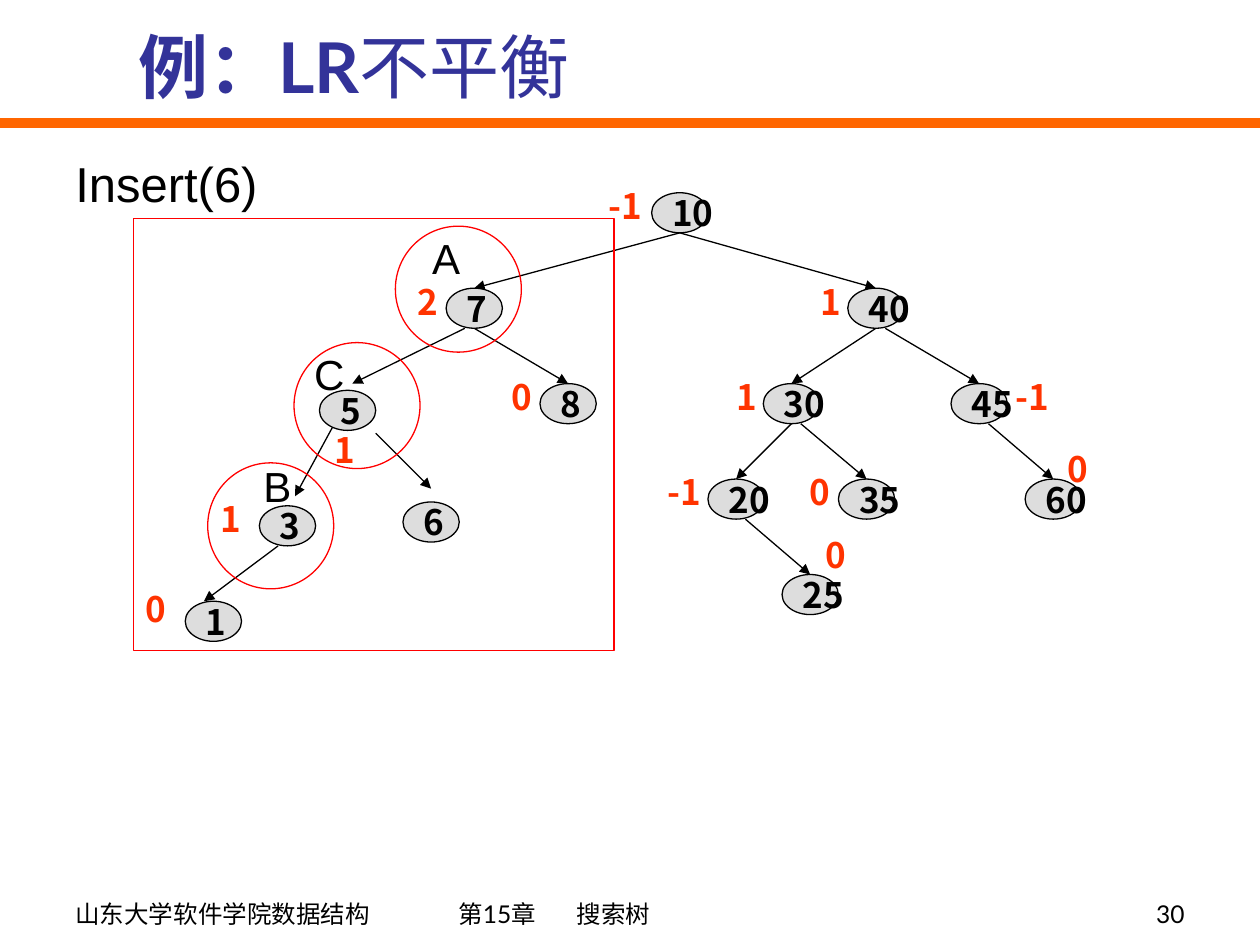
from collections import namedtuple

from lxml.etree import SubElement
from pptx import Presentation
from pptx.dml.color import RGBColor as RGB
from pptx.enum.shapes import MSO_CONNECTOR as Conn, MSO_SHAPE as Shp
from pptx.enum.text import MSO_ANCHOR as Anc, MSO_AUTO_SIZE as Fit, PP_ALIGN as Al
from pptx.oxml.ns import qn
from pptx.util import Inches, Pt

THEME = {
    "ink": "000000", "title": "333399", "bar": "FF6600", "node": "DDDDDD",
    "mark": "FF0000", "balance": "FF3300", "hair": 0.75, "bar_width": 6,
    "cjk": "Noto Sans CJK KR",
    "heading": ("Lato", 40, True, "title"),
    "heading_light": ("Lato", 40, False, "title"),
    "footer": ("Lato", 14, False, "ink"),
    "operation": ("Arial", 28, False, "ink"),
    "letter": ("Arial", 24, False, "ink"),
    "key": ("Noto Sans CJK KR", 20, True, "ink"),
    "factor": ("Noto Sans CJK KR", 20, True, "balance"),
}

Box = namedtuple("Box", "x y w h")
COLS, ROWS = 96, 5

NODES = {
    "10": (49.7, 0), "7": (27.8, 1), "40": (70.6, 1), "5": (14.3, 2.07),
    "8": (37.8, 2), "30": (61.6, 2), "45": (81.6, 2), "3": (7.9, 3.28),
    "6": (23.2, 3.24), "20": (55.7, 3), "35": (69.6, 3), "60": (89.5, 3),
    "1": (0, 4.28), "25": (63.6, 4),
}
FACTORS = {
    "10": ("-1", -5.9, -0.15), "7": ("2", -4.4, -0.15), "40": ("1", -4.2, -0.15),
    "5": ("1", 0.3, 0.34), "8": ("0", -4.4, -0.15), "30": ("1", -4.2, -0.15),
    "45": ("-1", 5.6, -0.15), "3": ("1", -5.5, -0.15), "20": ("-1", -5.6, -0.16),
    "35": ("0", -4.4, -0.16), "60": ("0", 3.2, -0.4), "1": ("0", -5.5, -0.21),
    "25": ("0", 3.3, -0.49),
}
HERE = (0, 0)
EDGES = [
    ("10", "7", HERE, HERE), ("10", "40", HERE, HERE),
    ("7", "5", (-1, 0), (0.5, -0.07)), ("7", "8", HERE, HERE),
    ("40", "30", HERE, HERE), ("40", "45", (1, 0), HERE),
    ("5", "3", (-1.4, -0.07), (0.8, -0.1)), ("5", "6", (3, 0.03), (0, -0.14)),
    ("30", "20", HERE, HERE), ("30", "35", (1, 0), HERE),
    ("45", "60", (1, 0), HERE), ("20", "25", (1, 0), HERE),
    ("3", "1", (-1, 0), (-1, 0)),
]
RINGS = [
    ("A", "7", (-5.4, -0.65), (-2.8, -0.65)),
    ("C", "5", (-2.7, -0.5), (-1.9, -0.5)),
    ("B", "3", (-5.5, -0.45), (-0.9, -0.54)),
]


def color(key):
    return RGB.from_string(THEME[key])


def apply(obj, values):
    for name, value in values.items():
        setattr(obj, name, value)


def place(box):
    return [Inches(v) for v in box]


def write(sp, parts, frame, align=Al.LEFT, tabs=()):
    tf = sp.text_frame
    apply(tf, frame)
    p = tf.paragraphs[0]
    p.alignment = align
    if tabs:
        lst = SubElement(p._p.get_or_add_pPr(), qn("a:tabLst"))
        for pos in tabs:
            SubElement(lst, qn("a:tab"), pos=str(Inches(pos)), algn="l")
    for text, style in parts:
        name, size, bold, ink = THEME[style]
        r = p.add_run()
        r.text = text
        r.font.color.rgb = color(ink)
        apply(r.font, {"name": name, "size": Pt(size), "bold": bold})
        SubElement(r._r.get_or_add_rPr(), qn("a:ea"), typeface=THEME["cjk"])


def label(s, box, text, style):
    sp = s.shapes.add_textbox(*place(box))
    write(sp, [(text, style)], {"word_wrap": True, "auto_size": Fit.NONE})


def outline(s, kind, box, line, fill=None):
    sp = s.shapes.add_shape(kind, *place(box))
    sp.shadow.inherit = False
    if fill:
        sp.fill.solid()
        sp.fill.fore_color.rgb = color(fill)
    else:
        sp.fill.background()
    sp.line.color.rgb = color(line)
    sp.line.width = Pt(THEME["hair"])
    return sp


def connect(s, start, end, line, width, arrow=False):
    cn = s.shapes.add_connector(Conn.STRAIGHT, *place(start + end))
    cn.line.color.rgb = color(line)
    cn.line.width = Pt(width)
    pr = cn._element.spPr
    if arrow:
        SubElement(pr.find(qn("a:ln")), qn("a:tailEnd"), type="triangle")
    SubElement(pr, qn("a:effectLst"))


def add_header(s, box):
    connect(s, (box.x, box.y + box.h), (box.x + box.w, box.y + box.h),
            "bar", THEME["bar_width"])
    sp = s.shapes.title
    title = Box(box.w * 0.1, box.y, box.w * 0.85, box.h * 0.93)
    apply(sp, dict(zip(("left", "top", "width", "height"), place(title))))
    write(sp, [("例：LR", "heading"), ("不平衡", "heading_light")],
          {"word_wrap": True, "auto_size": Fit.NONE, "vertical_anchor": Anc.BOTTOM})


def add_tree(s, box):
    cw, rh = box.w / COLS, box.h / ROWS
    node_w, node_h = cw * 6, rh * 0.42

    def at(col, row):
        return box.x + col * cw, box.y + row * rh

    def near(key, dx=0, dy=0):
        col, row = NODES[key]
        return at(col + dx, row + dy)

    for parent, child, (sx, sy), (ex, ey) in EDGES:
        connect(s, near(parent, sx + 3, sy + 0.42), near(child, ex + 3, ey),
                "ink", THEME["hair"], arrow=True)
    for key in NODES:
        sp = outline(s, Shp.OVAL, near(key) + (node_w, node_h), "ink", "node")
        write(sp, [(key, "key")], {"word_wrap": False, "vertical_anchor": Anc.MIDDLE})
    for key, (text, dx, dy) in FACTORS.items():
        width = cw * (3.4 + 1.7 * len(text))
        label(s, near(key, dx, dy) + (width, rh * 0.58), text, "factor")

    outline(s, Shp.RECTANGLE, at(-5.5, 0.27) + (cw * 51.2, rh * 4.53), "mark")
    for letter, key, ring, name in RINGS:
        outline(s, Shp.OVAL, near(key, *ring) + (1, 1), "mark")
        label(s, near(key, *name) + (cw * 6, rh * 0.66), letter, "letter")


def add_footer(s, box):
    frame = {"word_wrap": True, "vertical_anchor": Anc.BOTTOM}
    split = box.w * 0.77
    sp = s.shapes.add_textbox(*place((box.x, box.y, split, box.h)))
    write(sp, [("山东大学软件学院数据结构\t第15章\t搜索树", "footer")], frame, tabs=(3.04, 3.98))
    sp = s.shapes.add_textbox(*place((box.x + split, box.y, box.w - split, box.h)))
    write(sp, [("30", "footer")], frame, Al.RIGHT)


def main():
    prs = Presentation()
    w, h = 10, 7.5
    apply(prs, {"slide_width": Inches(w), "slide_height": Inches(h)})
    s = prs.slides.add_slide(prs.slide_layouts[5])
    add_header(s, Box(0, 0, w, h * 0.13))
    label(s, Box(w * 0.05, h * 0.156, w * 0.18, h * 0.08), "Insert(6)", "operation")
    add_tree(s, Box(w * 0.147, h * 0.204, w * 0.715, h * 0.505))
    add_footer(s, Box(w * 0.05, h * 0.923, w * 0.9, h * 0.066))
    prs.save("out.pptx")


if __name__ == "__main__":
    main()
